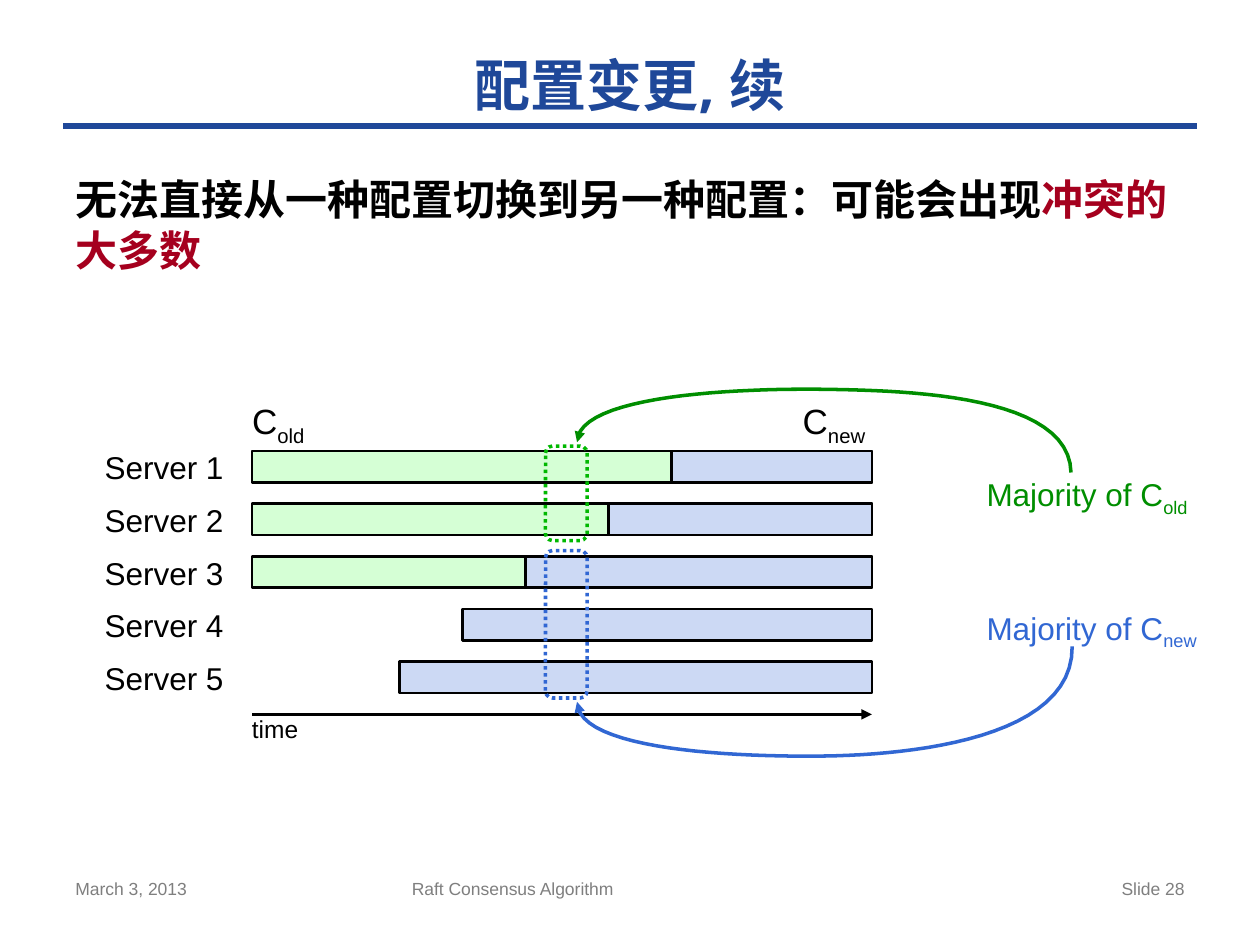
from lxml import etree
from pptx import Presentation
from pptx.dml.color import RGBColor
from pptx.enum.dml import MSO_LINE
from pptx.enum.shapes import MSO_CONNECTOR, MSO_SHAPE
from pptx.enum.text import MSO_ANCHOR, MSO_AUTO_SIZE, PP_ALIGN
from pptx.oxml.ns import qn
from pptx.util import Inches, Pt

LEFT, CENTER, RIGHT = PP_ALIGN.LEFT, PP_ALIGN.CENTER, PP_ALIGN.RIGHT
TOP, MIDDLE = MSO_ANCHOR.TOP, MSO_ANCHOR.MIDDLE
FIT, NO_FIT = MSO_AUTO_SIZE.SHAPE_TO_FIT_TEXT, MSO_AUTO_SIZE.NONE
RECT, ROUND = MSO_SHAPE.RECTANGLE, MSO_SHAPE.ROUNDED_RECTANGLE
STRAIGHT, DOTTED = MSO_CONNECTOR.STRAIGHT, MSO_LINE.ROUND_DOT

NAVY, BLACK, RED, GRAY = "1F4899", "000000", "A5001E", "7F7F7F"
OLD_FILL, NEW_FILL = "D5FFD5", "CCD9F4"
OLD_TEXT, OLD_DOTS, NEW_TEXT = "008E00", "00B800", "3167D3"

BAR_LEFT, BAR_RIGHT, BAR_TOP, BAR_STEP, BAR_H = 2, 6.92, 3.58, 0.4175, 0.25
SERVERS = [(2, 5.33), (2, 4.83), (2, 4.17), (None, 3.67), (None, 3.17)]


def color(hex_string):
    return RGBColor.from_string(hex_string)


def place(shape, x, y, w, h):
    shape.left, shape.top = Inches(x), Inches(y)
    shape.width, shape.height = Inches(w), Inches(h)


def write(tf, *parts, size=18, font="Arial", fill=BLACK, bold=False,
          align=LEFT, anchor=TOP):
    tf.vertical_anchor = anchor
    p = tf.paragraphs[0]
    p.alignment = align
    for part in parts:
        text, part_fill, baseline = part if isinstance(part, tuple) else (part, fill, 0)
        r = p.add_run()
        r.text = text
        r.font.size, r.font.name, r.font.bold = Pt(size), font, bold
        r.font.color.rgb = color(part_fill)
        if baseline:
            r._r.get_or_add_rPr().set("baseline", str(baseline * 1000))
    return p


def label(s, box, text, sub=None, fill=BLACK, size=18):
    sp = s.shapes.add_textbox(*map(Inches, box))
    tf = sp.text_frame
    tf.margin_left = tf.margin_top = tf.margin_right = tf.margin_bottom = 0
    tf.word_wrap, tf.auto_size = False, FIT
    parts = [text, (sub, fill, -25)] if sub else [text]
    write(tf, *parts, fill=fill, size=size)


def footer(s, x, w, text, align=LEFT):
    sp = s.shapes.add_textbox(*map(Inches, (x, 6.92, w, 0.43)))
    sp.text_frame.word_wrap = True
    write(sp.text_frame, text, size=10, fill=GRAY, align=align)


def box(s, kind, x, y, w, h, fill=None, line=BLACK, width=1.5, dash=None):
    sp = s.shapes.add_shape(kind, *map(Inches, (x, y, w, h)))
    sp.shadow.inherit = False
    if fill:
        sp.fill.solid()
        sp.fill.fore_color.rgb = color(fill)
    else:
        sp.fill.background()
    sp.line.color.rgb, sp.line.width = color(line), Pt(width)
    if dash:
        sp.line.dash_style = dash


def add_arrowhead(sp):
    ln = sp.line._get_or_add_ln()
    etree.SubElement(ln, qn("a:tailEnd"), type="triangle")


def line(s, x1, y1, x2, y2, fill, width, arrow=False):
    cxn = s.shapes.add_connector(STRAIGHT, *map(Inches, (x1, y1, x2, y2)))
    cxn.line.color.rgb, cxn.line.width = color(fill), Pt(width)
    if arrow:
        add_arrowhead(cxn)
    etree.SubElement(cxn._element.spPr, qn("a:effectLst"))


def bezier(p0, p1, p2, p3, steps=24):
    for i in range(1, steps + 1):
        t = i / steps
        u = 1 - t
        yield tuple(Inches(u**3 * a + 3 * u * u * t * b + 3 * u * t * t * c + t**3 * d)
                    for a, b, c, d in zip(p0, p1, p2, p3))


def curved_arrow(s, points, fill):
    fb = s.shapes.build_freeform(*map(Inches, points[0]))
    for i in range(0, len(points) - 1, 3):
        fb.add_line_segments(list(bezier(*points[i:i + 4])), close=False)
    sp = fb.convert_to_shape()
    sp.shadow.inherit = False
    sp.fill.background()
    sp.line.color.rgb, sp.line.width = color(fill), Pt(2)
    add_arrowhead(sp)


def add_heading(s):
    title, body = s.shapes.title, s.placeholders[1]
    place(title, 0.5, 0.33, 9, 0.67)
    write(title.text_frame, "配置变更, 续", size=32, font="Open Sans", fill=NAVY,
          bold=True, align=CENTER, anchor=MIDDLE)
    line(s, 0.5, 1, 9.5, 1, NAVY, 4)
    place(body, 0.5, 1.33, 9, 5.37)
    body.text_frame.auto_size = NO_FIT
    p = write(body.text_frame, "无法直接从一种配置切换到另一种配置：可能会出现",
              ("冲突的大多数", RED, 0), size=24, bold=True)
    p.space_before = Pt(12)
    pPr = p._p.get_or_add_pPr()
    pPr.set("marL", "0")
    pPr.set("indent", "0")
    etree.SubElement(pPr, qn("a:buNone"))


def add_timeline(s):
    for i, (old_start, new_start) in enumerate(SERVERS):
        y = BAR_TOP + i * BAR_STEP
        if old_start:
            box(s, RECT, old_start, y, BAR_RIGHT - old_start, BAR_H, OLD_FILL)
        box(s, RECT, new_start, y, BAR_RIGHT - new_start, BAR_H, NEW_FILL)
        label(s, (0.83, y - 0.02, 0.95, 0.3), f"Server {i + 1}")
    label(s, (BAR_LEFT, 3.17, 0.45, 0.34), "C", "old", size=20)
    label(s, (6.37, 3.17, 0.55, 0.34), "C", "new", size=20)
    line(s, BAR_LEFT, 5.67, BAR_RIGHT, 5.67, BLACK, 1.5, arrow=True)
    label(s, (BAR_LEFT, 5.67, 0.37, 0.24), "time", size=14)


def add_majorities(s):
    box(s, ROUND, 4.33, 4.37, 0.33, 1.17, line=NEW_TEXT, width=2, dash=DOTTED)
    box(s, ROUND, 4.33, 3.54, 0.33, 0.75, line=OLD_DOTS, width=2, dash=DOTTED)
    label(s, (7.83, 3.77, 1.64, 0.3), "Majority of C", "old", OLD_TEXT)
    label(s, (7.83, 4.83, 1.72, 0.3), "Majority of C", "new", NEW_TEXT)
    curved_arrow(s, [(8.5, 3.75), (8.49, 3.14), (7.23, 3.1), (6.56, 3.09),
                     (5.88, 3.08), (4.58, 3.13), (4.58, 3.51)], OLD_TEXT)
    curved_arrow(s, [(8.51, 5.13), (8.52, 5.86), (7.24, 5.99), (6.55, 6),
                     (5.87, 6.01), (4.58, 5.96), (4.58, 5.57)], NEW_TEXT)


def main():
    prs = Presentation()
    prs.slide_width, prs.slide_height = Inches(10), Inches(7.5)
    s = prs.slides.add_slide(prs.slide_layouts[1])
    add_heading(s)
    add_timeline(s)
    add_majorities(s)
    footer(s, 0.5, 2.33, "March 3, 2013")
    footer(s, 3.17, 3.75, "Raft Consensus Algorithm")
    footer(s, 7.17, 2.33, "Slide 28", RIGHT)
    prs.save("out.pptx")


main()
